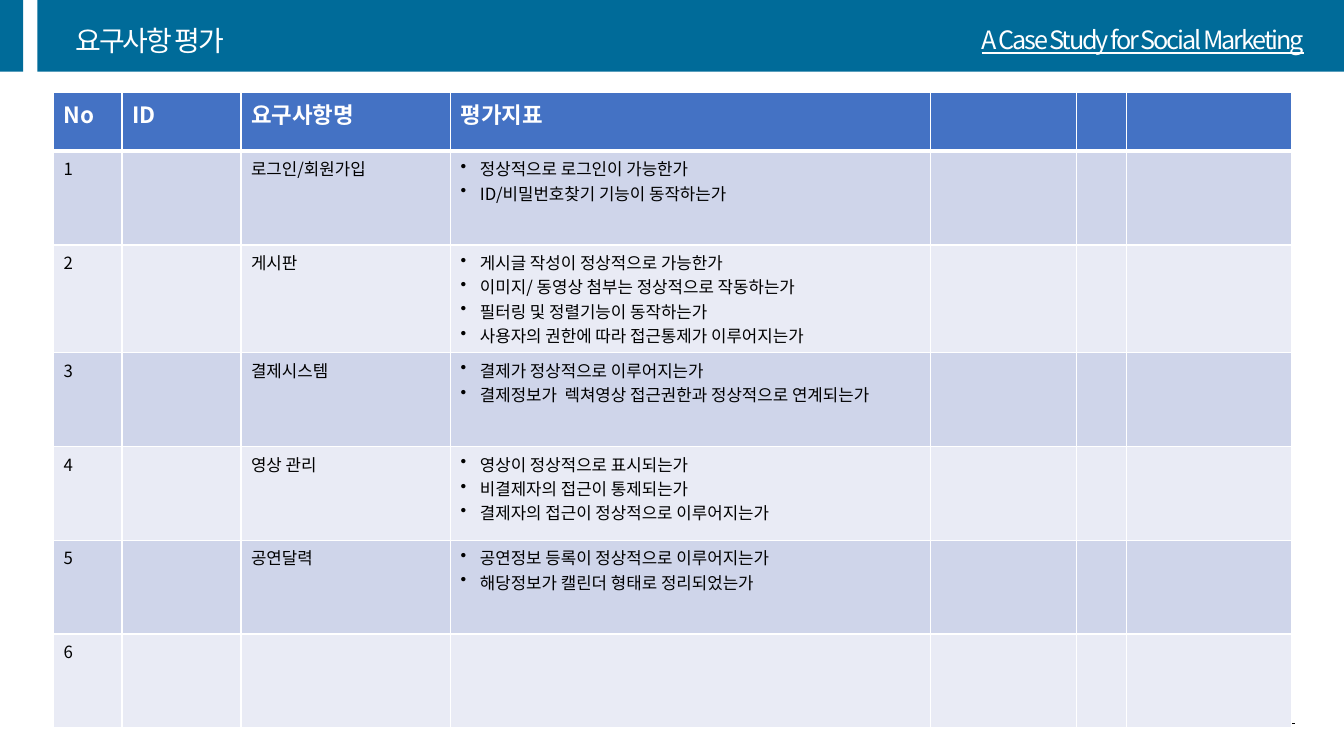
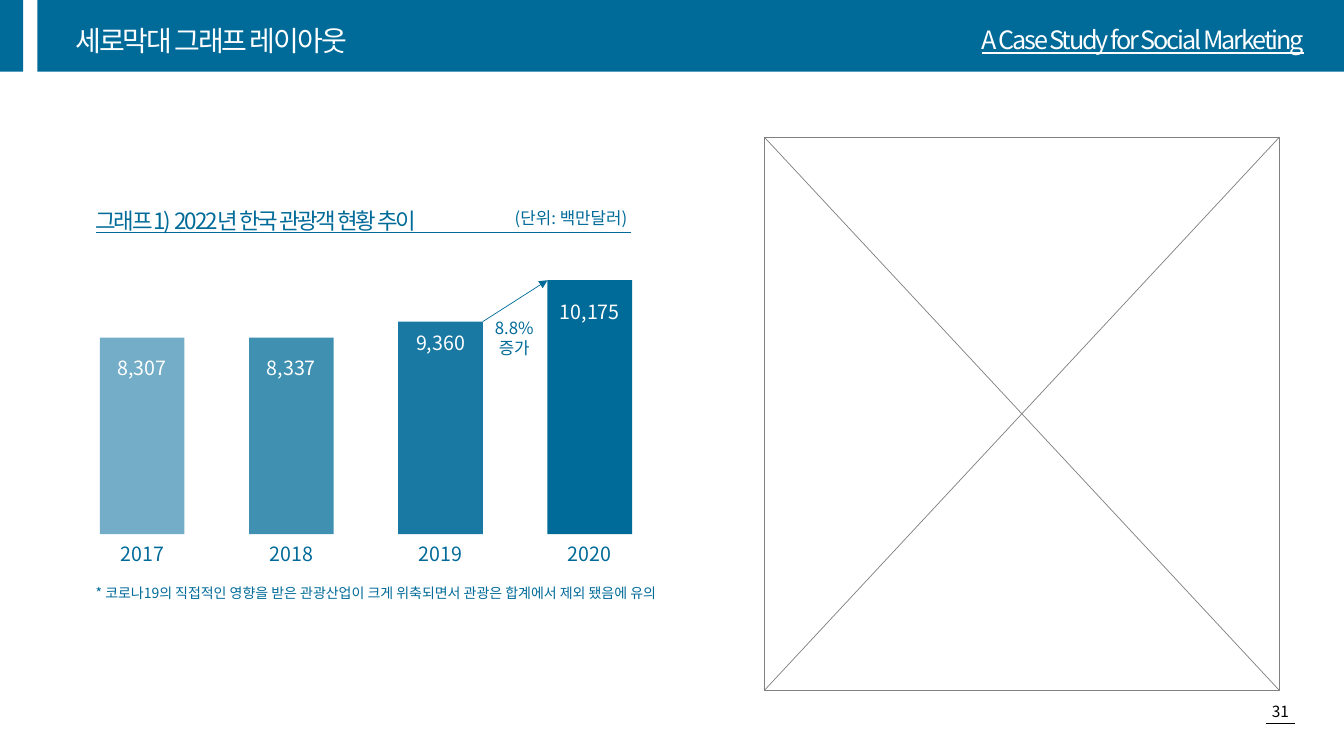
from lxml import etree
from pptx import Presentation
from pptx.dml.color import RGBColor
from pptx.enum import shapes, text
from pptx.oxml.ns import qn
from pptx.util import Inches, Pt

FONT = "Noto Sans CJK KR"
BLUE, WHITE, BLACK, GREY = "006B99", "FFFFFF", "000000", "808080"
HEADER_FILL, ROW_FILLS = "4472C4", ("CFD5EA", "E9EBF5")
LEFT, CENTER, RIGHT = text.PP_ALIGN.LEFT, text.PP_ALIGN.CENTER, text.PP_ALIGN.RIGHT

COLUMN_WIDTHS = (0.68, 1.18, 2.08, 4.76, 1.45, 0.49, 1.64)
HEADINGS = ("No", "ID", "요구사항명", "평가지표", "", "", "")
REQUIREMENTS = (
    ("로그인/회원가입", ("정상적으로 로그인이 가능한가",
                  "ID/비밀번호찾기 기능이 동작하는가")),
    ("게시판", ("게시글 작성이 정상적으로 가능한가",
             "이미지/ 동영상 첨부는 정상적으로 작동하는가",
             "필터링 및 정렬기능이 동작하는가",
             "사용자의 권한에 따라 접근통제가 이루어지는가")),
    ("결제시스템", ("결제가 정상적으로 이루어지는가",
               "결제정보가  렉쳐영상 접근권한과 정상적으로 연계되는가")),
    ("영상 관리", ("영상이 정상적으로 표시되는가",
               "비결제자의 접근이 통제되는가",
               "결제자의 접근이 정상적으로 이루어지는가")),
    ("공연달력", ("공연정보 등록이 정상적으로 이루어지는가",
              "해당정보가 캘린더 형태로 정리되었는가")),
    ("", ()),
)
# Year, value, bar height, gap above the value, opacity in percent
BARS = (
    ("2017", "8,307", 1.95, 0.13, 55),
    ("2018", "8,337", 1.95, 0.13, 75),
    ("2019", "9,360", 2.11, 0.04, 90),
    ("2020", "10,175", 2.52, 0.15, 100),
)


def rgb(value):
    return RGBColor.from_string(value)


def style(paragraph, size, color, align=LEFT, bold=False, underline=None,
          line_spacing=None, tracking=None):
    """Style a whole paragraph, Latin and Korean text alike."""
    font = paragraph.font
    font.name, font.size, font.bold, font.underline = FONT, Pt(size), bold, underline
    font.color.rgb = rgb(color)
    paragraph.alignment = align
    if line_spacing:
        paragraph.line_spacing = line_spacing
    properties = paragraph._p.pPr.find(qn("a:defRPr"))
    properties.find(qn("a:latin")).addnext(
        etree.Element(qn("a:ea"), typeface=FONT))
    if tracking:
        properties.set("spc", str(int(tracking * 100)))


def add_bullet(paragraph):
    properties = paragraph._p.get_or_add_pPr()
    indent = Inches(0.19)
    properties.set("marL", str(indent))
    properties.set("indent", str(-indent))
    properties.insert_element_before(
        etree.Element(qn("a:buChar"), char="•"), "a:tabLst", "a:defRPr", "a:extLst")


def add_label(slide, box, lines, size, color, middle=False, grow=True, **look):
    frame = slide.shapes.add_textbox(*map(Inches, box)).text_frame
    frame.word_wrap = True
    if grow:
        frame.auto_size = text.MSO_AUTO_SIZE.SHAPE_TO_FIT_TEXT
    if middle:
        frame.vertical_anchor = text.MSO_ANCHOR.MIDDLE
    frame.text = lines
    for paragraph in frame.paragraphs:
        style(paragraph, size, color, **look)


def add_rectangle(parent, box, fill, line=None, opacity=100):
    rectangle = parent.shapes.add_shape(
        shapes.MSO_SHAPE.RECTANGLE, *map(Inches, box))
    rectangle.shadow.inherit = False
    rectangle.fill.solid()
    rectangle.fill.fore_color.rgb = rgb(fill)
    if opacity < 100:
        color = rectangle._element.spPr.find(qn("a:solidFill"))[0]
        etree.SubElement(color, qn("a:alpha"), val=str(opacity * 1000))
    if line:
        rectangle.line.color.rgb = rgb(line)
        rectangle.line.width = Pt(0.5)
    else:
        rectangle.line.fill.background()


def add_line(parent, start, end, color, arrow=False):
    line = parent.shapes.add_connector(
        shapes.MSO_CONNECTOR.STRAIGHT, *map(Inches, (*start, *end)))
    line.line.color.rgb = rgb(color)
    line.line.width = Pt(0.5)
    if arrow:
        etree.SubElement(line.line._get_or_add_ln(), qn("a:tailEnd"), type="triangle")
    etree.SubElement(line._element.spPr, qn("a:effectLst"))


def add_page(prs, title, number=None):
    """Blank slide with the shared header bands, titles and footer."""
    slide = prs.slides.add_slide(prs.slide_layouts[6])
    for left, width in ((0, 0.23), (0.37, 12.97)):
        add_rectangle(slide, (left, 0, width, 0.71), BLUE)
    if number:
        add_label(slide, (12.36, 6.92, 0.68, 0.29), number, 11, BLACK, align=CENTER)
    add_line(slide, (12.56, 7.18), (12.84, 7.18), BLACK)
    heading = dict(color=WHITE, middle=True, line_spacing=1.3, tracking=-1.5)
    add_label(slide, (8.47, 0.11, 4.56, 0.47), "A Case Study for Social Marketing",
              18, align=RIGHT, underline=True, **heading)
    add_label(slide, (0.65, 0.05, 4.56, 0.6), title, 20, grow=False, **heading)
    return slide


def fill_cell(cell, content, fill, size, color, bold=False, bullets=False):
    cell.fill.solid()
    cell.fill.fore_color.rgb = rgb(fill)
    if not content:
        return
    cell.text = content
    for paragraph in cell.text_frame.paragraphs:
        style(paragraph, size, color, bold=bold)
        if bullets:
            add_bullet(paragraph)


def add_bottom_border(cell, color, width):
    border = etree.Element(qn("a:lnB"), w=str(Pt(width)))
    fill = etree.SubElement(border, qn("a:solidFill"))
    etree.SubElement(fill, qn("a:srgbClr"), val=color)
    cell._tc.get_or_add_tcPr().insert(0, border)


def add_requirements(slide, left, top):
    # Each row is tall enough for all its criteria
    margins, line_height, least_height = 0.1, 0.24, 0.93
    heights = [0.58] + [max(least_height, margins + line_height * len(checks) + 0.01)
                        for _, checks in REQUIREMENTS]
    table = slide.shapes.add_table(
        len(heights), len(COLUMN_WIDTHS), Inches(left), Inches(top),
        Inches(sum(COLUMN_WIDTHS)), Inches(sum(heights))).table
    for column, width in zip(table.columns, COLUMN_WIDTHS):
        column.width = Inches(width)
    for row, height in zip(table.rows, heights):
        row.height = Inches(height)

    for column, heading in enumerate(HEADINGS):
        cell = table.cell(0, column)
        fill_cell(cell, heading, HEADER_FILL, 16, WHITE, bold=True)
        add_bottom_border(cell, WHITE, 3)
    for number, (name, checks) in enumerate(REQUIREMENTS, 1):
        contents = (str(number), "", name, "\n".join(checks), "", "", "")
        for column, content in enumerate(contents):
            fill_cell(table.cell(number, column), content, ROW_FILLS[(number - 1) % 2],
                      12, BLACK, bullets=column == 3)


def add_image_frame(slide, left, top, width, height):
    """Empty frame crossed by its diagonals."""
    frame = slide.shapes.add_group_shape()
    right, bottom = left + width, top + height
    add_rectangle(frame, (left, top, width, height), WHITE, line=GREY)
    add_line(frame, (right, top), (left, bottom), GREY)
    add_line(frame, (left, top), (right, bottom), GREY)


def add_bar_graph(slide, left, top):
    # Heading with its rule
    add_label(slide, (left, top, 3.94, 0.47), "그래프1)  2022년 한국 관광객 현황 추이",
              16, BLUE, line_spacing=1.5, tracking=-1.5)
    rule = top + 0.44
    add_line(slide, (left + 0.1, rule), (left + 5.41, rule), BLUE)

    # Bars with values and years
    first, step, width, base = left + 0.14, 1.48, 0.84, top + 3.43
    for index, (year, value, height, gap, opacity) in enumerate(BARS):
        x, bar_top = first + index * step, base - height
        add_rectangle(slide, (x, bar_top, width, height), BLUE, opacity=opacity)
        add_label(slide, (x, bar_top + gap, width, 0.34), value, 14, WHITE, align=CENTER)
        add_label(slide, (x, base + 0.03, width, 0.34), year, 14, BLUE, align=CENTER)

    # Growth arrow between the last two bars
    add_line(slide, (first + 2 * step + width, base - BARS[2][2]),
             (first + 3 * step, base - BARS[3][2]), BLUE, arrow=True)
    add_label(slide, (left + 3.79, top + 1.23, 0.92, 0.5), "8.8%\n증가",
              12, BLUE, align=CENTER)

    # Unit and footnote
    add_label(slide, (left + 3.96, top + 0.14, 1.51, 0.3), "(단위: 백만달러)",
              12, BLUE, align=RIGHT)
    add_label(slide, (left, top + 3.88, 5.82, 0.27),
              "* 코로나19의 직접적인 영향을 받은 관광산업이 크게 위축되면서 "
              "관광은 합계에서 제외 됐음에 유의", 10, BLUE)


def main():
    prs = Presentation()
    prs.slide_width, prs.slide_height = Inches(13.33), Inches(7.5)

    add_requirements(add_page(prs, "요구사항 평가"), 0.53, 0.92)

    graph_page = add_page(prs, "세로막대 그래프 레이아웃", "31")
    add_image_frame(graph_page, 7.58, 1.36, 5.11, 5.49)
    add_bar_graph(graph_page, 0.85, 1.87)

    prs.save("out.pptx")


if __name__ == "__main__":
    main()
